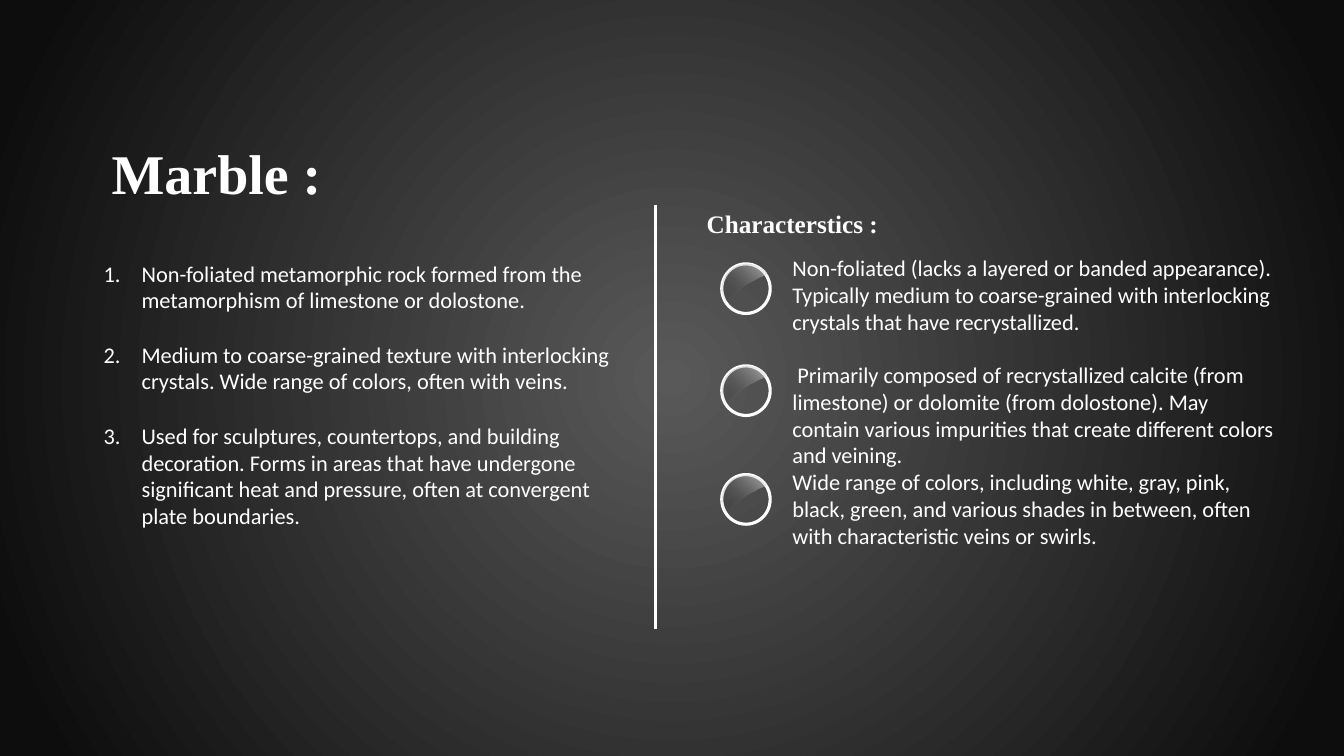
from dataclasses import dataclass

from lxml import etree
from pptx import Presentation
from pptx import util as u
from pptx.dml.color import RGBColor
from pptx.enum import shapes, text
from pptx.oxml.ns import qn
from pptx.util import Cm, Pt

WHITE = RGBColor(0xFF, 0xFF, 0xFF)
BLACK = RGBColor(0x00, 0x00, 0x00)
GREY = RGBColor(0x59, 0x59, 0x59)
CHARCOAL = RGBColor(0x0D, 0x0D, 0x0D)
SERIF, SANS = "Times New Roman", "Calibri"

RING_LEFT, RING_WIDTH, RING_HEIGHT = 18.19, 1.22, 1.25
TEXT_LEFT, TEXT_WIDTH = 19.72, 12.65

# Glint outline in cm from the ring's corner: one point is a line, three a curve
GLINT_START = (0.64, 0)
GLINT = [
    [(0.79, 0), (0.94, 0.08), (1.07, 0.18)],
    [(1.12, 0.25)],
    [(0.97, 0.33)],
    [(0.61, 0.48), (0.36, 0.66), (0.15, 0.89)],
    [(0.1, 0.97)],
    [(0.08, 0.91)],
    [(0.05, 0.84), (0, 0.74), (0, 0.64)],
    [(0, 0.28), (0.28, 0), GLINT_START],
]


@dataclass
class Characteristic:
    ring_top: float
    text_top: float
    text_height: float
    wording: str


CHARACTERISTICS = [
    Characteristic(6.65, 6.28, 2.21, "Non-foliated (lacks a layered or banded appearance). Typically medium "
                   "to coarse-grained with interlocking crystals that have recrystallized."),
    Characteristic(9.22, 8.97, 3.0, " Primarily composed of recrystallized calcite (from limestone) or dolomite "
                   "(from dolostone). May contain various impurities that create different colors and veining."),
    Characteristic(11.96, 11.67, 2.31, "Wide range of colors, including white, gray, pink, black, green, and "
                   "various shades in between, often with characteristic veins or swirls."),
]

FACTS = [
    "Non-foliated metamorphic rock formed from the metamorphism of limestone or dolostone.",
    "Medium to coarse-grained texture with interlocking crystals. Wide range of colors, often with veins.",
    "Used for sculptures, countertops, and building decoration. Forms in areas that have undergone "
    "significant heat and pressure, often at convergent plate boundaries.",
]


def write(box, lines: list[str], font: str, size: float, bold: bool = False) -> None:
    frame = box.text_frame
    frame.text = "\n".join(lines)
    frame.word_wrap = True
    frame.auto_size = text.MSO_AUTO_SIZE.NONE
    frame.vertical_anchor = text.MSO_ANCHOR.TOP
    for para in frame.paragraphs:
        para.alignment = text.PP_ALIGN.LEFT
        para.line_spacing = 1.0
        para.font.name, para.font.size, para.font.bold = font, Pt(size), bold
        para.font.color.rgb = WHITE


def number(para) -> None:
    properties = para._p.get_or_add_pPr()
    properties.set("marL", str(Cm(0.96)))
    properties.set("indent", str(-Cm(0.96)))
    etree.SubElement(properties, qn("a:buFont"), typeface="+mj-lt")
    etree.SubElement(properties, qn("a:buAutoNum"), type="arabicPeriod")


def blend(fill, start: RGBColor, end: RGBColor) -> None:
    fill.gradient()
    for stop, color in zip(fill.gradient_stops, (start, end)):
        stop.color.rgb = color


def bend(segment, corners: list[tuple[float, float]]) -> None:
    """Replace a straight outline segment by a curve through its control points."""
    curve = etree.Element(qn("a:cubicBezTo"))
    for x, y in corners:
        etree.SubElement(curve, qn("a:pt"), x=str(Cm(x)), y=str(Cm(y)))
    segment.getparent().replace(segment, curve)


def draw_glint(group, top: float) -> None:
    ends = [part[-1] for part in GLINT]
    builder = group.shapes.build_freeform(Cm(RING_LEFT + GLINT_START[0]), Cm(top))
    builder.add_line_segments([(Cm(RING_LEFT + x), Cm(top + y)) for x, y in ends])
    glint = builder.convert_to_shape()
    glint.left, glint.top = Cm(RING_LEFT), Cm(top)
    for segment, part in zip(list(glint._element.iter(qn("a:lnTo"))), GLINT):
        if len(part) == 3:
            bend(segment, part)
    glint.shadow.inherit = False
    glint.line.fill.background()
    blend(glint.fill, BLACK, WHITE)
    glint.fill.gradient_angle = 45
    for color, opacity in zip(glint._element.spPr.iter(qn("a:srgbClr")), (0, 58)):
        etree.SubElement(color, qn("a:alpha"), val=str(opacity * 1000))


def draw_characteristic(page, item: Characteristic) -> None:
    group = page.shapes.add_group_shape()
    ring = group.shapes.add_shape(shapes.MSO_SHAPE.OVAL, Cm(RING_LEFT), Cm(item.ring_top),
                                  Cm(RING_WIDTH), Cm(RING_HEIGHT))
    ring.shadow.inherit = False
    ring.fill.background()
    ring.line.color.rgb, ring.line.width = WHITE, Pt(2.25)
    draw_glint(group, item.ring_top)
    box = group.shapes.add_textbox(Cm(TEXT_LEFT), Cm(item.text_top), Cm(TEXT_WIDTH), Cm(item.text_height))
    write(box, [item.wording], SANS, 16)


def paint_background(page) -> None:
    fill = page.background.fill
    blend(fill, GREY, CHARCOAL)
    fill.gradient_stops[0].position = 0
    fill.gradient_stops[1].position = 0.94
    gradient = page.element.find(".//" + qn("a:gradFill"))
    circle = etree.Element(qn("a:path"), path="circle")
    etree.SubElement(circle, qn("a:fillToRect"), l="50000", t="50000", r="50000", b="50000")
    gradient.replace(gradient.find(qn("a:lin")), circle)


def main() -> None:
    deck = Presentation()
    deck.slide_width, deck.slide_height = u.Cm(33.87), u.Cm(19.05)
    page = deck.slides.add_slide(deck.slide_layouts[5])
    paint_background(page)

    # Title
    title = page.shapes.title
    title.left, title.top, title.width, title.height = Cm(2.56), Cm(3.36), Cm(8.89), Cm(1.96)
    write(title, ["Marble :"], SERIF, 40, bold=True)

    # Divider
    divider = page.shapes.add_connector(shapes.MSO_CONNECTOR.STRAIGHT, Cm(16.52), Cm(5.16), Cm(16.52), Cm(15.85))
    divider.line.color.rgb, divider.line.width = WHITE, Pt(2.25)
    etree.SubElement(divider._element.spPr, qn("a:effectLst"))

    # Characteristics
    for item in CHARACTERISTICS:
        draw_characteristic(page, item)

    # Numbered facts
    facts = page.shapes.add_textbox(Cm(2.36), Cm(6.42), Cm(13.74), Cm(7.11))
    write(facts, FACTS, SANS, 16)
    for para in facts.text_frame.paragraphs:
        number(para)
    for para in facts.text_frame.paragraphs[1:]:
        para.space_before = Pt(19.5)

    # Heading of the characteristics
    heading = page.shapes.add_textbox(Cm(17.56), Cm(5.13), Cm(6.83), Cm(1.02))
    write(heading, ["Characterstics :"], SERIF, 18, bold=True)

    deck.save("out.pptx")


if __name__ == "__main__":
    main()
